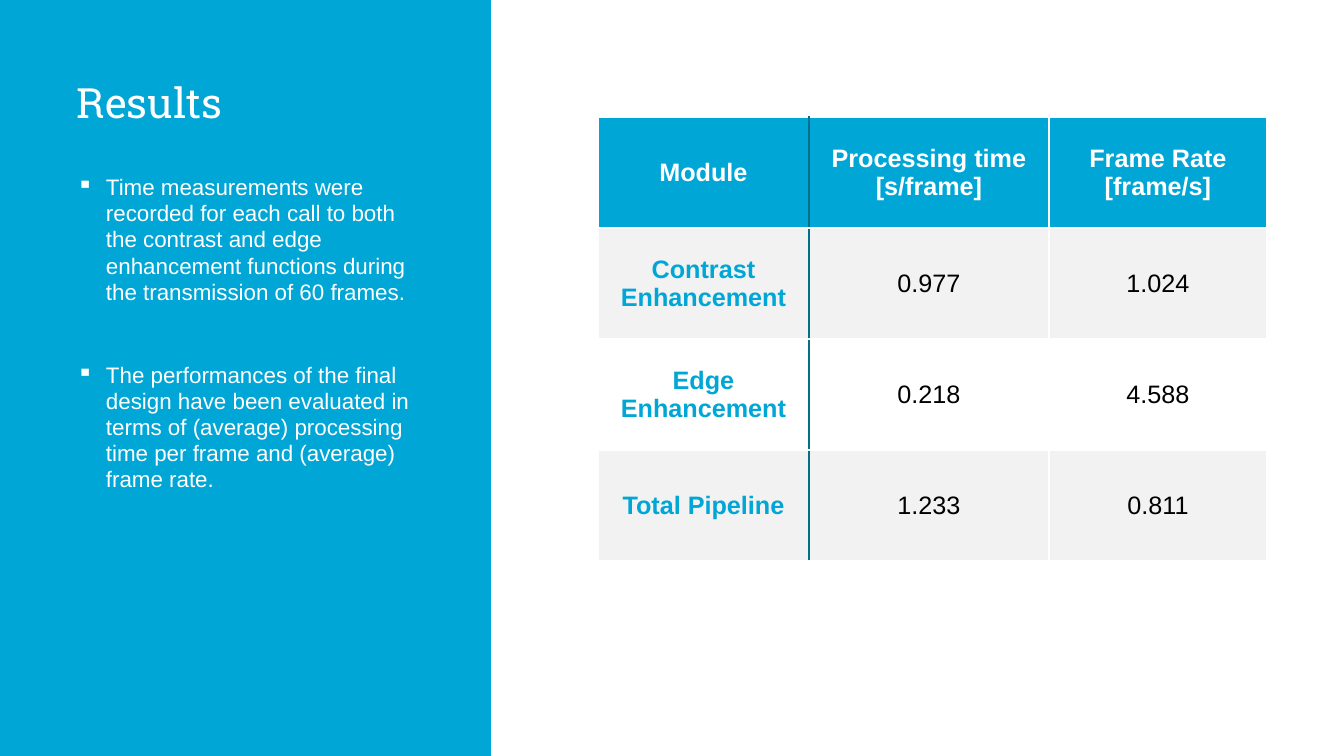
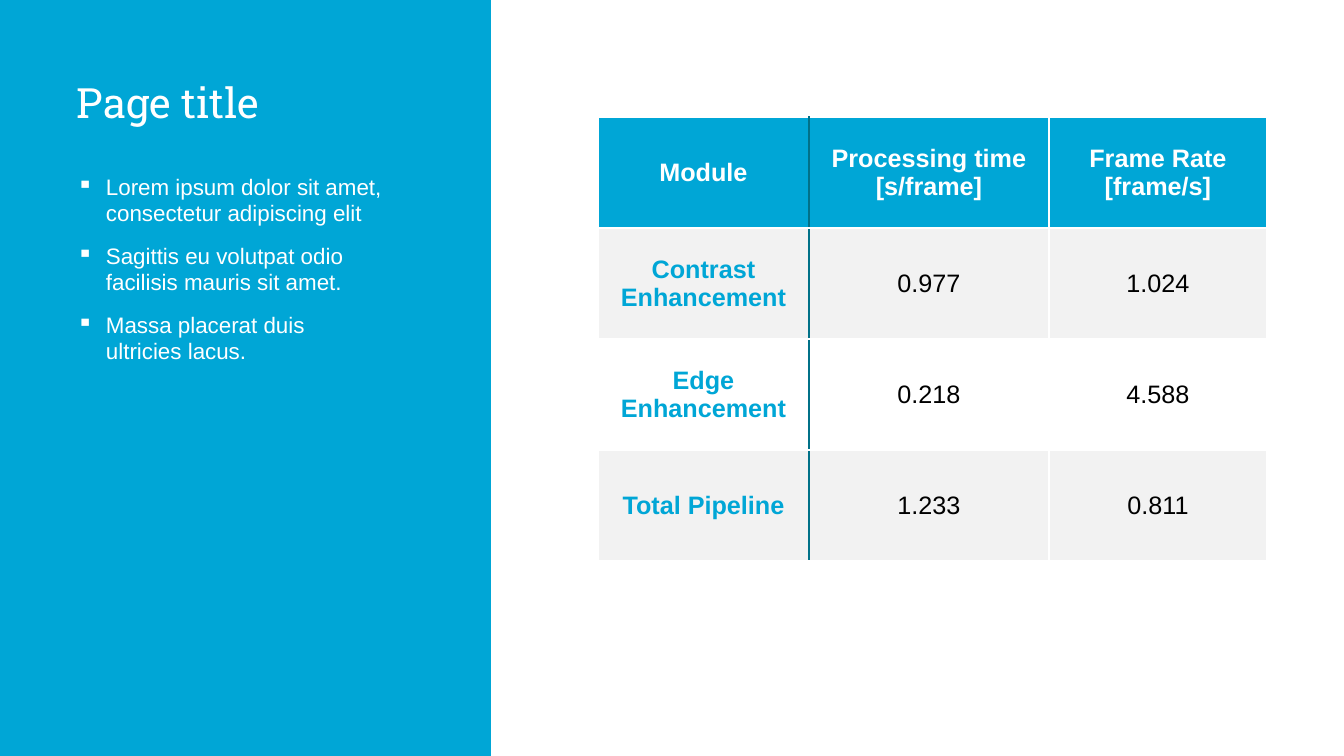
"""Build two slides that pair a blue bullet panel with a table of timing results."""
from lxml import etree
from pptx import Presentation
from pptx.dml.color import RGBColor
from pptx.enum.shapes import MSO_SHAPE
from pptx.enum.text import MSO_ANCHOR, MSO_AUTO_SIZE, PP_ALIGN
from pptx.oxml.ns import qn
from pptx.util import Emu, Pt

RECTANGLE = MSO_SHAPE.RECTANGLE
TOP, MIDDLE = MSO_ANCHOR.TOP, MSO_ANCHOR.MIDDLE
LEFT, CENTER = PP_ALIGN.LEFT, PP_ALIGN.CENTER
NO_FIT = MSO_AUTO_SIZE.NONE

COLORS = {"blue": "00A6D6", "teal": "017188", "grey": "F2F2F2", "white": "FFFFFF", "black": "000000"}
HEADING_FONT, BODY_FONT = "Roboto Slab", "Arial"
EMU_PER_INCH, PX_PER_INCH = 914400, 100.8
COLUMN_WIDTHS = [211, 240, 218]
ROW_HEIGHT = 111
TIMINGS = [
    ["Module", "Processing time [s/frame]", "Frame Rate [frame/s]"],
    ["Contrast Enhancement", "0.977", "1.024"],
    ["Edge Enhancement", "0.218", "4.588"],
    ["Total Pipeline", "1.233", "0.811"],
]
PAGES = [
    ("Results", 41, [
        "Time measurements were recorded for each call to both the contrast and edge "
        "enhancement functions during the transmission of 60 frames.",
        "The performances of the final design have been evaluated in terms of (average) "
        "processing time per frame and (average) frame rate.",
    ]),
    ("Page title", 12, [
        "Lorem ipsum dolor sit amet, consectetur adipiscing elit",
        "Sagittis eu volutpat odio\vfacilisis mauris sit amet.",
        "Massa placerat duis\vultricies lacus.",
    ]),
]


def px(length):
    return Emu(round(length * EMU_PER_INCH / PX_PER_INCH))


def style(font, name, size, color, bold=False):
    font.name, font.size, font.bold = name, Pt(size), bold
    font.color.rgb = RGBColor.from_string(COLORS[color])


deck = Presentation()
deck.slide_width, deck.slide_height = px(1344), px(756)
title_only = deck.slide_layouts[5]

for heading, bullet_gap, bullets in PAGES:
    slide = deck.slides.add_slide(title_only)

    panel = slide.shapes.add_shape(RECTANGLE, px(-1), 0, px(492), px(756))
    panel.shadow.inherit = False
    panel.fill.solid()
    panel.fill.fore_color.rgb = RGBColor.from_string(COLORS["blue"])
    panel.line.fill.background()
    title = slide.shapes.title
    title._element.addprevious(panel._element)

    title.left, title.top, title.width, title.height = px(77), px(82), px(347), px(54)
    title.text_frame.text = heading
    summary = slide.shapes.add_textbox(px(77), px(175), px(347), px(480))
    for frame in (title.text_frame, summary.text_frame):
        frame.margin_left = frame.margin_top = frame.margin_right = frame.margin_bottom = 0
        frame.word_wrap, frame.auto_size, frame.vertical_anchor = True, NO_FIT, TOP
    title_line = title.text_frame.paragraphs[0]
    title_line.alignment, title_line.line_spacing = LEFT, 0.9
    style(title_line.runs[0].font, HEADING_FONT, 29.8, "white")

    for index, bullet in enumerate(bullets):
        point = summary.text_frame.add_paragraph() if index else summary.text_frame.paragraphs[0]
        point.text = bullet
        point.line_spacing = 0.97
        if index:
            point.space_before = Pt(bullet_gap)
        properties = point._p.get_or_add_pPr()
        properties.set("marL", str(px(29)))
        properties.set("indent", str(px(-29)))
        bullet_color = etree.SubElement(properties, qn("a:buClr"))
        etree.SubElement(bullet_color, qn("a:srgbClr"), val=COLORS["white"])
        etree.SubElement(properties, qn("a:buChar"), char="▪")
        for run in point.runs:
            style(run.font, BODY_FONT, 16, "white")

    timing_table = slide.shapes.add_table(
        len(TIMINGS), len(COLUMN_WIDTHS), px(598), px(117),
        px(sum(COLUMN_WIDTHS)), px(ROW_HEIGHT * len(TIMINGS))).table
    timing_table.first_row = timing_table.horz_banding = False
    for column, width in zip(timing_table.columns, COLUMN_WIDTHS):
        column.width = px(width)

    for r, timing in enumerate(TIMINGS):
        timing_table.rows[r].height = px(ROW_HEIGHT)
        row_color = "blue" if r == 0 else "grey" if r % 2 else "white"
        for c, value in enumerate(timing):
            cell = timing_table.cell(r, c)
            cell.text = value
            cell.vertical_anchor = MIDDLE
            cell.margin_left = cell.margin_right = cell.margin_top = cell.margin_bottom = px(12)
            cell.fill.solid()
            cell.fill.fore_color.rgb = RGBColor.from_string(COLORS[row_color])
            entry = cell.text_frame.paragraphs[0]
            entry.alignment = CENTER
            text_color = "white" if r == 0 else "blue" if c == 0 else "black"
            style(entry.runs[0].font, BODY_FONT, 18, text_color, bold=r == 0 or c == 0)
            if c < 2:
                divider = etree.Element(qn("a:lnL" if c else "a:lnR"), w=str(Pt(1)))
                divider_fill = etree.SubElement(divider, qn("a:solidFill"))
                etree.SubElement(divider_fill, qn("a:srgbClr"), val=COLORS["teal"])
                cell._tc.get_or_add_tcPr().insert(0, divider)

deck.save("out.pptx")
